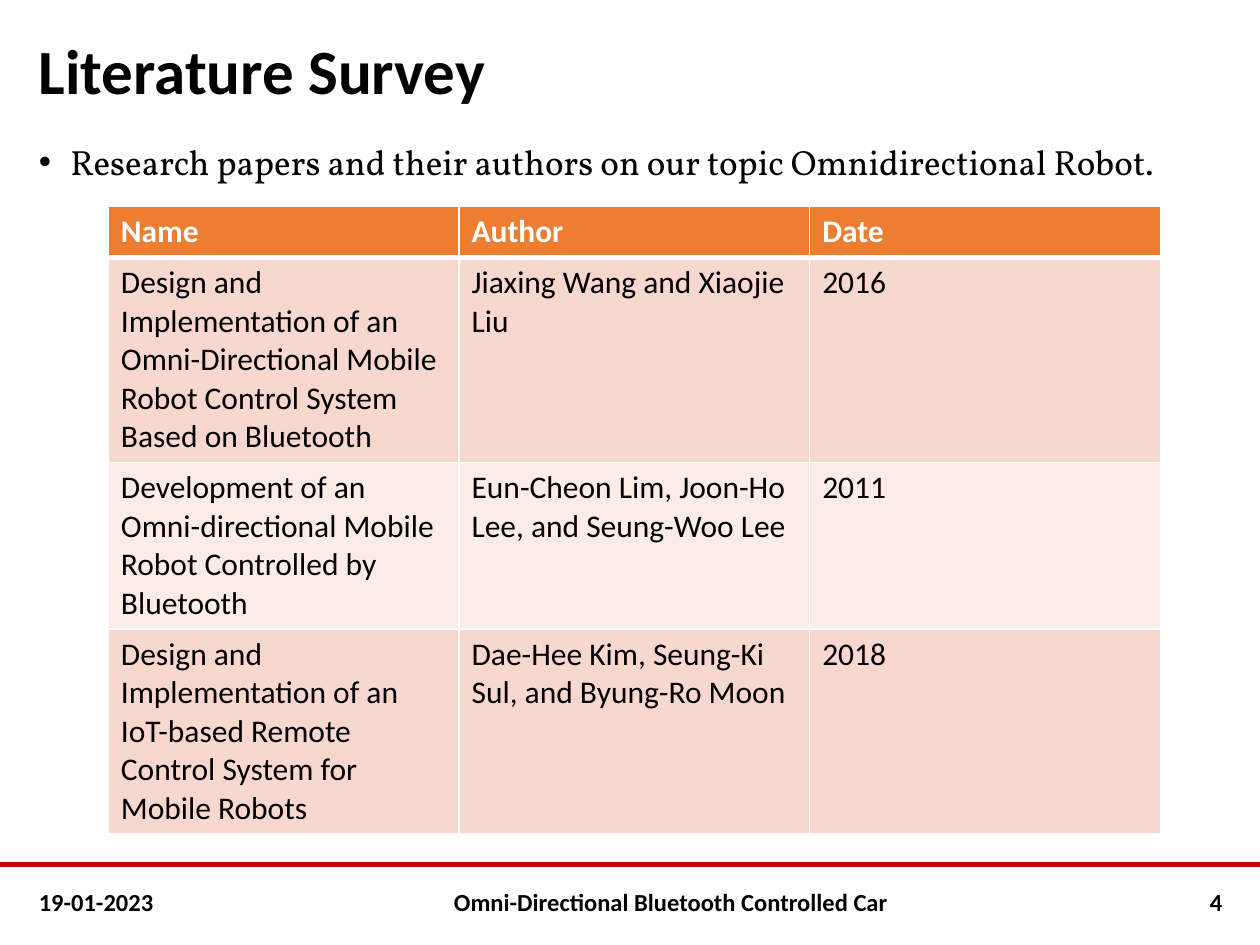
import pptx
import pptx.dml.color
import pptx.enum.text
import pptx.oxml
import pptx.oxml.ns
import pptx.util
from lxml import etree


def hue(code):
    return pptx.dml.color.RGBColor.from_string(code)


def style(para, size, code="000000", bold=False, face="Calibri"):
    for run in para.runs:
        run.font.name = face
        run.font.size = pptx.util.Pt(size)
        run.font.bold = bold
        run.font.color.rgb = hue(code)


deck = pptx.Presentation()
deck.slide_width = pptx.util.Inches(10)
deck.slide_height = pptx.util.Inches(7.5)
slide = deck.slides.add_slide(deck.slide_layouts[6])
tag = pptx.oxml.ns.qn

# One percent of the slide's width and height
col = deck.slide_width / 100
row = deck.slide_height / 100

# Red rule above the footer
rule = slide.shapes.add_connector(1, 0, int(91.5 * row), deck.slide_width, int(91.5 * row))
rule.line.color.rgb = hue("C00000")
rule.line.width = pptx.util.Pt(3)
etree.SubElement(rule._element.spPr, tag("a:effectLst"))

# Title, lead line and footer: text, left, top, width, height, size, bold, face, align
left, mid, right, just = (pptx.enum.text.PP_ALIGN.LEFT, pptx.enum.text.PP_ALIGN.CENTER,
                          pptx.enum.text.PP_ALIGN.RIGHT, pptx.enum.text.PP_ALIGN.JUSTIFY)
lead = "Research papers and their authors on our topic Omnidirectional Robot."
texts = [
    ("Literature Survey", 2.1, 3.2, 96.1, 9.2, 36, True, "Calibri", left),
    (lead, 2.1, 14.67, 96.1, 6.5, 20, False, "Vollkorn", just),
    ("19-01-2023", 2.1, 92.8, 13, 5.33, 14, True, "Calibri", left),
    ("Omni-Directional Bluetooth Controlled Car", 15.5, 92.8, 75.5, 5.33, 14, True, "Calibri", mid),
    ("4", 92.1, 92.8, 5.9, 5.33, 14, True, "Calibri", right),
]
for text, x, y, w, h, size, bold, face, align in texts:
    box = slide.shapes.add_textbox(int(x * col), int(y * row), int(w * col), int(h * row))
    frame = box.text_frame
    frame.word_wrap = True
    frame.text = text
    frame.vertical_anchor = pptx.enum.text.MSO_ANCHOR.MIDDLE
    para = frame.paragraphs[0]
    para.alignment = align
    if text == lead:
        frame.vertical_anchor = pptx.enum.text.MSO_ANCHOR.TOP
        props = para._p.get_or_add_pPr()
        props.set("marL", str(pptx.util.Inches(0.25)))
        props.set("indent", str(-pptx.util.Inches(0.25)))
        etree.SubElement(props, tag("a:buFont"), typeface="Arial")
        etree.SubElement(props, tag("a:buChar"), char="•")
    if size > 14:
        para.line_spacing = 0.9
    style(para, size, bold=bold, face=face)

# Survey table
papers = [
    ("Name", "Author", "Date"),
    ("Design and Implementation of an Omni-Directional Mobile Robot Control System Based on Bluetooth",
     "Jiaxing Wang and Xiaojie Liu", "2016"),
    ("Development of an Omni-directional Mobile Robot Controlled by Bluetooth",
     "Eun-Cheon Lim, Joon-Ho Lee, and Seung-Woo Lee", "2011"),
    ("Design and Implementation of an IoT-based Remote Control System for Mobile Robots",
     "Dae-Hee Kim, Seung-Ki Sul, and Byung-Ro Moon", "2018"),
]
fills = ["ED7D31", "F8D7CE", "FCECE8", "F8D7CE"]
highs = [5.4, 21.7, 17.6, 21.7]
grid = slide.shapes.add_table(4, 3, int(8.6 * col), int(21.87 * row),
                              int(83.5 * col), int(sum(highs) * row)).table
for r, paper in enumerate(papers):
    grid.rows[r].height = int(highs[r] * row)
    for c, text in enumerate(paper):
        cell = grid.cell(r, c)
        cell.text = text
        head = r == 0
        style(cell.text_frame.paragraphs[0], 18, "FFFFFF" if head else "000000", head)
        props = cell._tc.get_or_add_tcPr()
        for side in "LRTB":
            thick = (r, side) in [(0, "B"), (1, "T")]
            edge = etree.SubElement(props, tag("a:ln" + side),
                                    w=str(pptx.util.Pt(3 if thick else 1)))
            paint = etree.SubElement(edge, tag("a:solidFill"))
            etree.SubElement(paint, tag("a:srgbClr"), val="FFFFFF")
        cell.fill.solid()
        cell.fill.fore_color.rgb = hue(fills[r])

deck.save("out.pptx")
